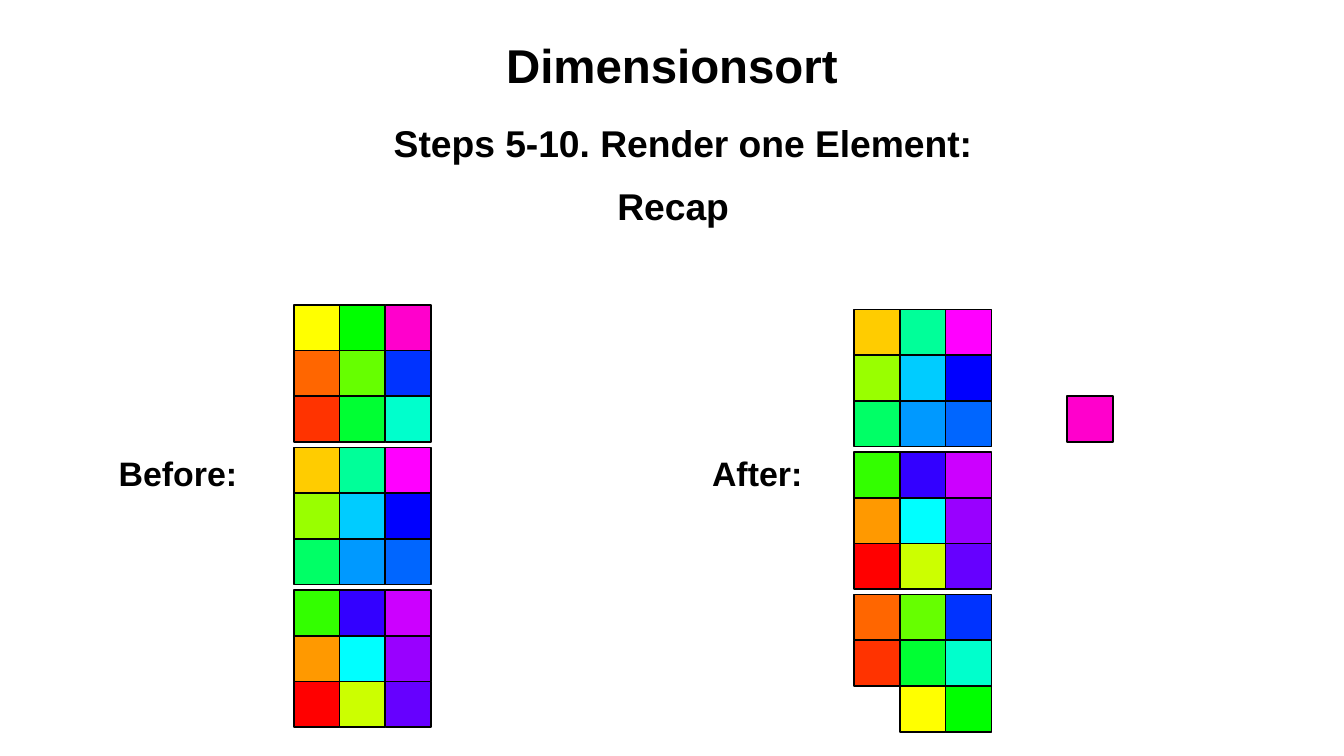
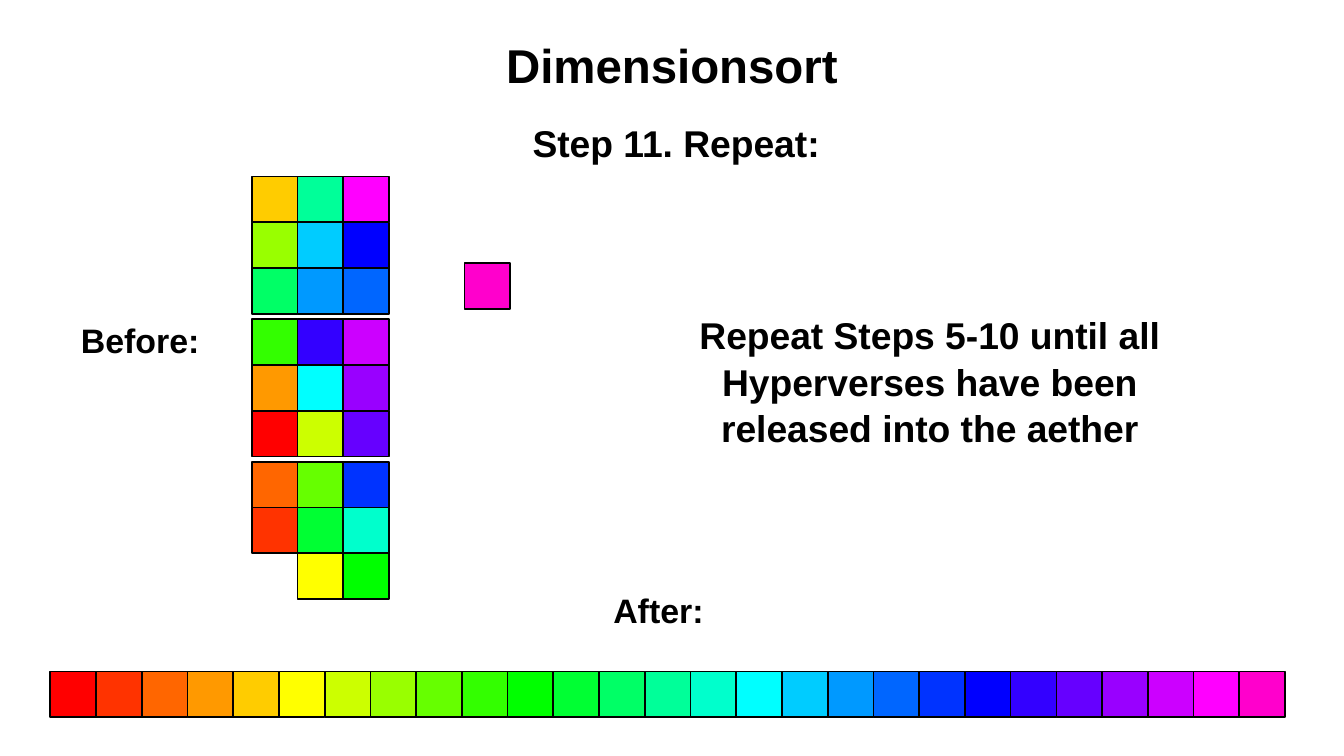
import pptx
import pptx.dml.color
import pptx.enum.shapes
import pptx.enum.text
import pptx.util

Pt = pptx.util.Pt
ALIGN = pptx.enum.text.PP_ALIGN
ANCHOR = pptx.enum.text.MSO_ANCHOR

SLIDE_SIZE = (793.5, 446.4)
FONT, INK, PAPER = "Arial", "000000", "FFFFFF"
TITLE = "Dimensionsort"
TITLE_BOX = (39.6, 0.7, 714.2, 74.9)
LABEL_SIZE = (138.2, 54)
CELL = 27
BLOCK_STEP = 84.2

# Sorted colours; an element's value is its place in this list.
SPECTRUM = """
FF0000 FF3300 FF6600 FF9900 FFCC00 FFFF00 CCFF00 99FF00 66FF00
33FF00 00FF00 00FF33 00FF66 00FF99 00FFCC 00FFFF 00CCFF 0099FF
0066FF 0033FF 0000FF 3300FF 6600FF 9900FF CC00FF FF00FF FF00CC
""".split()

FIRST = [(5, 10, 26), (2, 8, 19), (1, 11, 14)]
SECOND = [(4, 13, 25), (7, 16, 20), (12, 17, 18)]
THIRD = [(9, 21, 24), (3, 15, 23), (0, 6, 22)]
FIRST_RENDERED = [(2, 8, 19), (1, 11, 14), (None, 5, 10)]
RENDERED = len(SPECTRUM) - 1

BEFORE = [FIRST, SECOND, THIRD]
AFTER = [SECOND, THIRD, FIRST_RENDERED]

SLIDES = [
    {
        "labels": [("Before:", 36, 252), ("After:", 378, 252)],
        "texts": [
            (["Steps 5-10. Render one Element:"], (225.4, 66.2, 429.1, 56.2), ALIGN.LEFT),
            (["Recap"], (146.9, 103.7, 501.1, 130.3), ALIGN.CENTER),
        ],
        "stacks": [(BEFORE, 173.5, 180), (AFTER, 504.3, 182.7)],
        "loose": (630, 234),
        "strip": None,
    },
    {
        "labels": [("Before:", 13.7, 173.5), ("After:", 319.7, 333.4)],
        "texts": [
            (["Step 11. Repeat:"], (307.4, 66.2, 429.1, 56.2), ALIGN.LEFT),
            (["Repeat Steps 5-10 until all Hyperverses have been", "released into the aether"],
             (378, 180, 342, 80.6), ALIGN.CENTER),
        ],
        "stacks": [(AFTER, 148.6, 104.3)],
        "loose": (274.3, 155.4),
        "strip": (29.7, 396.5),
    },
]


def rgb(color):
    return pptx.dml.color.RGBColor.from_string(color)


def write(frame, lines, size, align, anchor, margins=(0, 0), spacing=1.0):
    frame.word_wrap = True
    frame.vertical_anchor = anchor
    frame.margin_left = frame.margin_right = Pt(margins[0])
    frame.margin_top = frame.margin_bottom = Pt(margins[1])
    for index, line in enumerate(lines):
        paragraph = frame.add_paragraph() if index else frame.paragraphs[0]
        paragraph.alignment = align
        paragraph.line_spacing = spacing
        run = paragraph.add_run()
        run.text = line
        run.font.name, run.font.size, run.font.bold = FONT, Pt(size), True
        run.font.color.rgb = rgb(INK)


def add_title(slide):
    title = slide.shapes.title
    title.left, title.top, title.width, title.height = map(Pt, TITLE_BOX)
    write(title.text_frame, [TITLE], 28, ALIGN.CENTER, ANCHOR.MIDDLE)


def add_label(slide, label, left, top):
    box = slide.shapes.add_textbox(*map(Pt, (left, top, *LABEL_SIZE)))
    write(box.text_frame, [label], 20, ALIGN.CENTER, ANCHOR.MIDDLE)


def add_text(slide, lines, place, align):
    box = slide.shapes.add_textbox(*map(Pt, place))
    write(box.text_frame, lines, 22, align, ANCHOR.TOP, (7.2, 3.6), 1.04)


def add_element(shapes, value, left, top):
    element = shapes.add_shape(pptx.enum.shapes.MSO_SHAPE.RECTANGLE,
                               Pt(left), Pt(top), Pt(CELL), Pt(CELL))
    element.shadow.inherit = False
    element.fill.solid()
    element.fill.fore_color.rgb = rgb(SPECTRUM[value])
    element.line.color.rgb = rgb(INK)
    element.line.width = Pt(1)


def add_row(shapes, values, left, top):
    for column, value in enumerate(values):
        if value is not None:
            add_element(shapes, value, left + column * CELL, top)


def add_stack(slide, blocks, left, top):
    for level, block in enumerate(blocks):
        for row, values in enumerate(block):
            add_row(slide.shapes, values, left, top + level * BLOCK_STEP + row * CELL)


def build_slide(deck, content):
    slide = deck.slides.add_slide(deck.slide_layouts[5])
    slide.background.fill.solid()
    slide.background.fill.fore_color.rgb = rgb(PAPER)
    add_title(slide)
    for label in content["labels"]:
        add_label(slide, *label)
    for text in content["texts"]:
        add_text(slide, *text)
    for stack in content["stacks"]:
        add_stack(slide, *stack)
    add_element(slide.shapes, RENDERED, *content["loose"])
    if content["strip"]:
        strip = slide.shapes.add_group_shape()
        add_row(strip.shapes, range(len(SPECTRUM)), *content["strip"])


def main():
    deck = pptx.Presentation()
    deck.slide_width, deck.slide_height = map(Pt, SLIDE_SIZE)
    for content in SLIDES:
        build_slide(deck, content)
    deck.save("out.pptx")


if __name__ == "__main__":
    main()
